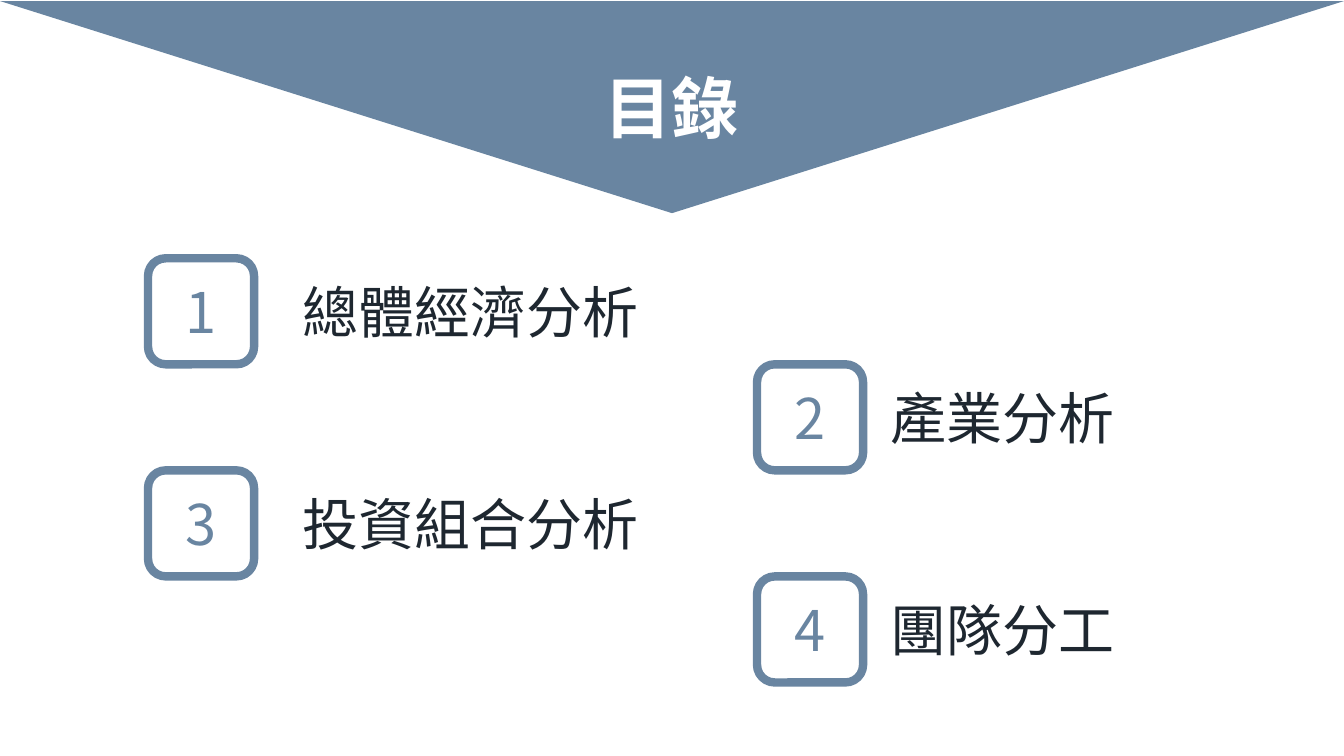
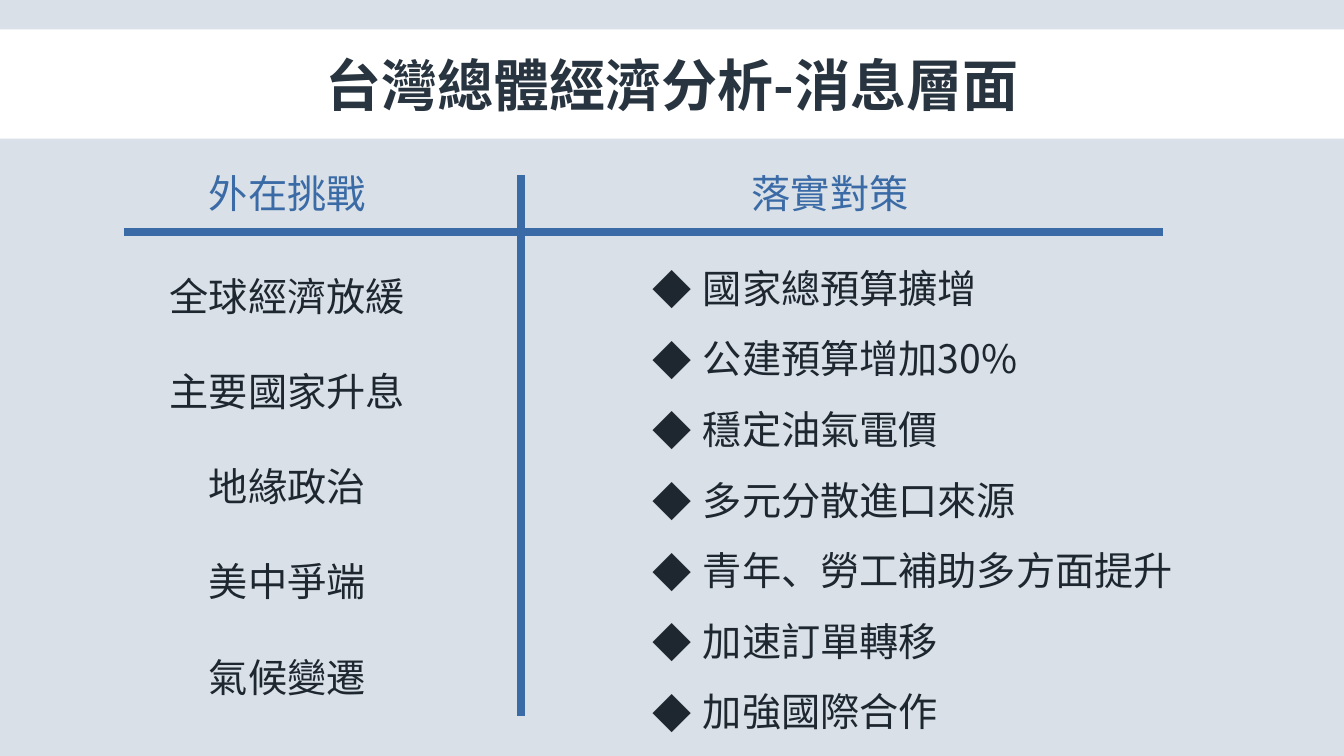
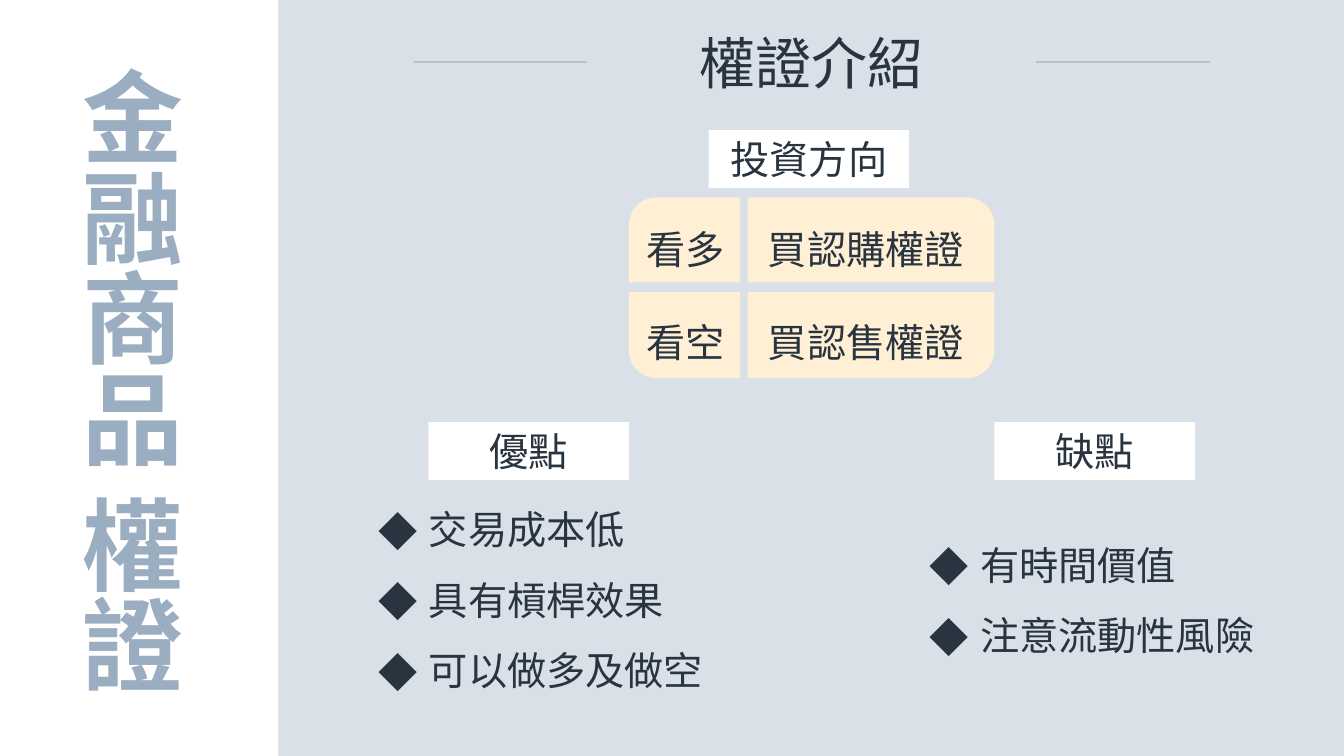
from math import cos, pi, sin

from lxml.etree import SubElement
from pptx import Presentation
from pptx.dml.color import RGBColor
from pptx.enum.shapes import MSO_CONNECTOR, MSO_SHAPE
from pptx.enum.text import MSO_ANCHOR, MSO_AUTO_SIZE, PP_ALIGN
from pptx.oxml.ns import qn
from pptx.util import Emu, Inches, Pt

# Shared style
FONT = "Noto Sans CJK JP"
WHITE, STEEL, MIST, PALE = "FFFFFF", "6985A1", "CDD6E0", "9BAEC1"
INK, SLATE, BLUE, CREAM, GREY = "1E2730", "283440", "3B6BA6", "FFEFD4", "BFBFBF"
TITLE, BODY = 40, 28
COLUMNS, ROWS = 128, 72


def color(hex_string):
    return RGBColor.from_string(hex_string)


class Deck:
    """Holds the style and the current slide; lengths are grid columns and rows."""

    def __init__(self):
        self.presentation = Presentation()
        self.presentation.slide_width = Inches(13.33)
        self.presentation.slide_height = Inches(7.5)
        self.slide = None

    def new_slide(self):
        layout = self.presentation.slide_layouts.get_by_name("Title Only")
        self.slide = self.presentation.slides.add_slide(layout)

    def across(self, columns):
        return Emu(round(self.presentation.slide_width * columns / COLUMNS))

    def down(self, rows):
        return Emu(round(self.presentation.slide_height * rows / ROWS))

    def area(self, x, y, width, height):
        return self.across(x), self.down(y), self.across(width), self.down(height)

    def set_text(self, shape, lines, size, ink, bold=False, align=PP_ALIGN.CENTER,
                 spacing=1.0, bullet=None):
        frame = shape.text_frame
        frame.word_wrap = True
        frame.auto_size = MSO_AUTO_SIZE.NONE
        frame.vertical_anchor = MSO_ANCHOR.MIDDLE
        frame.text = "\n".join(lines)
        for paragraph in frame.paragraphs:
            paragraph.alignment = align
            paragraph.line_spacing = spacing
            properties = paragraph._p.get_or_add_pPr()
            if bullet:
                properties.set("marL", str(Inches(0.5)))
                properties.set("indent", str(-Inches(0.5)))
                SubElement(properties, qn("a:buFont"), typeface=FONT)
                SubElement(properties, qn("a:buChar"), char=bullet)
            font = paragraph.font
            font.name, font.size, font.bold = FONT, Pt(size), bold
            font.color.rgb = color(ink)
            # East Asian text needs its own typeface entry
            SubElement(properties.find(qn("a:defRPr")), qn("a:ea"), typeface=FONT)

    def title(self, text, x, y, width, height, size=TITLE, ink=SLATE, bold=True):
        title = self.slide.shapes.title
        title.left, title.top, title.width, title.height = self.area(x, y, width, height)
        self.set_text(title, [text], size, ink, bold)
        # Bring the title in front of the band drawn before it
        title.element.getparent().append(title.element)

    def text(self, lines, x, y, width, height, size=BODY, ink=INK, **style):
        box = self.slide.shapes.add_textbox(*self.area(x, y, width, height))
        self.set_text(box, lines, size, ink, **style)
        return box

    def bullets(self, lines, x, y, width, height, ink=INK):
        self.text(lines, x, y, width, height, ink=ink, align=PP_ALIGN.LEFT,
                  spacing=1.5, bullet="◆")

    def vertical_text(self, text, x, y, width, height, size, ink):
        box = self.text([text], x, y, width, height, size, ink, bold=True,
                        align=PP_ALIGN.LEFT)
        box.text_frame.word_wrap = False
        box.text_frame._txBody.bodyPr.set("vert", "eaVert")

    def paint(self, shape, fill, line=None, weight=6):
        shape.shadow.inherit = False
        shape.fill.solid()
        shape.fill.fore_color.rgb = color(fill)
        if line:
            shape.line.color.rgb = color(line)
            shape.line.width = Pt(weight)
        else:
            shape.line.fill.background()

    def shape(self, kind, x, y, width, height, fill, line=None):
        shape = self.slide.shapes.add_shape(kind, *self.area(x, y, width, height))
        self.paint(shape, fill, line)
        return shape

    def panel(self, x, width):
        panel = self.shape(MSO_SHAPE.RECTANGLE, x, 0, width, ROWS, MIST)
        tint = panel.element.spPr.find(f"{qn('a:solidFill')}/{qn('a:srgbClr')}")
        SubElement(tint, qn("a:alpha"), val="75000")

    def tag(self, text, x, y):
        tag = self.shape(MSO_SHAPE.RECTANGLE, x, y, 19.1, 5.5, WHITE)
        self.set_text(tag, [text], BODY, SLATE)

    def line(self, x1, y1, x2, y2, ink, weight):
        line = self.slide.shapes.add_connector(
            MSO_CONNECTOR.STRAIGHT, self.across(x1), self.down(y1),
            self.across(x2), self.down(y2))
        line.line.color.rgb = color(ink)
        line.line.width = Pt(weight)
        SubElement(line.element.spPr, qn("a:effectLst"))

    def rounded_cells(self, columns, rows, radius, fill):
        """Four cells; columns and rows are (outer edge, inner edge) pairs."""
        builder = None
        for outer_y, inner_y in rows:
            for outer_x, inner_x in columns:
                reach_x = radius if inner_x > outer_x else -radius
                reach_y = radius if inner_y > outer_y else -radius
                turns = [step * pi / 24 for step in range(13)]
                arc = [(outer_x + reach_x * (1 - cos(turn)),
                        outer_y + reach_y * (1 - sin(turn))) for turn in turns]
                outline = [(outer_x, inner_y), *arc, (inner_x, outer_y), (inner_x, inner_y)]
                start, *points = [(self.across(x), self.down(y)) for x, y in outline]
                if builder is None:
                    builder = self.slide.shapes.build_freeform(*start)
                else:
                    builder.move_to(*start)
                builder.add_line_segments(points, close=True)
        self.paint(builder.convert_to_shape(), fill)


def contents_slide(deck):
    deck.new_slide()
    banner = deck.shape(MSO_SHAPE.ISOSCELES_TRIANGLE, 0, 0.1, COLUMNS, 20.2, STEEL)
    banner.rotation = 180
    deck.title("目錄", 0, 5.8, COLUMNS, 8.7, size=48, ink=WHITE)
    # Numbered chapters alternate between two columns
    side = 10.1
    chapters = ["總體經濟分析", "產業分析", "投資組合分析", "團隊分工"]
    for index, chapter in enumerate(chapters):
        box_x, label_x = [(14.1, 27.7), (72.1, 78.4)][index % 2]
        y = 24.6 + index * side
        box = deck.shape(MSO_SHAPE.ROUNDED_RECTANGLE, box_x, y, side, side, WHITE, STEEL)
        deck.set_text(box, [str(index + 1)], TITLE, STEEL)
        deck.text([chapter], label_x, y, 34.2, side, TITLE)


def economy_slide(deck):
    deck.new_slide()
    deck.panel(0, COLUMNS)
    deck.shape(MSO_SHAPE.RECTANGLE, 0, 2.8, COLUMNS, 10.4, WHITE)
    deck.title("台灣總體經濟分析-消息層面", 0, 2.8, COLUMNS, 10.4)
    # Column headings and the dividing cross
    for heading, x in [("外在挑戰", 13.5), ("落實對策", 65.2)]:
        deck.text([heading], x, 15.6, 27.7, 5.5, ink=BLUE)
    deck.line(49.6, 16.7, 49.6, 68.2, BLUE, 6)
    deck.line(11.8, 22.1, 110.8, 22.1, BLUE, 6)
    # Challenges and responses
    challenges = ["全球經濟放緩", "主要國家升息", "地緣政治", "美中爭端", "氣候變遷"]
    for index, challenge in enumerate(challenges):
        deck.text([challenge], 13.5, 25.4 + index * 9.07, 27.7, 5.5)
    deck.bullets(["國家總預算擴增", "公建預算增加30%", "穩定油氣電價", "多元分散進口來源",
                  "青年、勞工補助多方面提升", "加速訂單轉移", "加強國際合作"],
                 61.2, 22.6, 55, 47.7)


def warrant_slide(deck):
    deck.new_slide()
    deck.panel(26.5, 101.5)
    deck.vertical_text("金融商品 權證", 5.6, 5.4, 13.5, 61.3, 72, PALE)
    # Title between two rules
    deck.title("權證介紹", 47.6, 2.2, 59.3, 7.4, bold=False)
    for x in (39.4, 98.7):
        deck.line(x, 5.9, x + 16.5, 5.9, GREY, 2)
    # Market view and the matching warrant
    deck.tag("投資方向", 67.5, 12.4)
    deck.rounded_cells([(59.9, 70.5), (94.7, 71.2)], [(18.8, 26.9), (36, 27.8)], 2.6, CREAM)
    for y, view, action in [(19.1, "看多", "買認購權證"), (27.9, "看空", "買認售權證")]:
        for text, x, width in [(view, 60.6, 9.9), (action, 72.2, 22.5)]:
            deck.text([text], x, y, width, 7, ink=SLATE, align=PP_ALIGN.LEFT, spacing=1.5)
    # Advantages and drawbacks
    deck.tag("優點", 40.8, 40.2)
    deck.bullets(["交易成本低", "具有槓桿效果", "可以做多及做空"], 35.1, 45.7, 32.9, 20.6, SLATE)
    deck.tag("缺點", 94.7, 40.2)
    deck.bullets(["有時間價值", "注意流動性風險"], 87.6, 49.1, 32.9, 13.8, SLATE)


def main():
    deck = Deck()
    contents_slide(deck)
    economy_slide(deck)
    warrant_slide(deck)
    deck.presentation.save("out.pptx")


if __name__ == "__main__":
    main()
